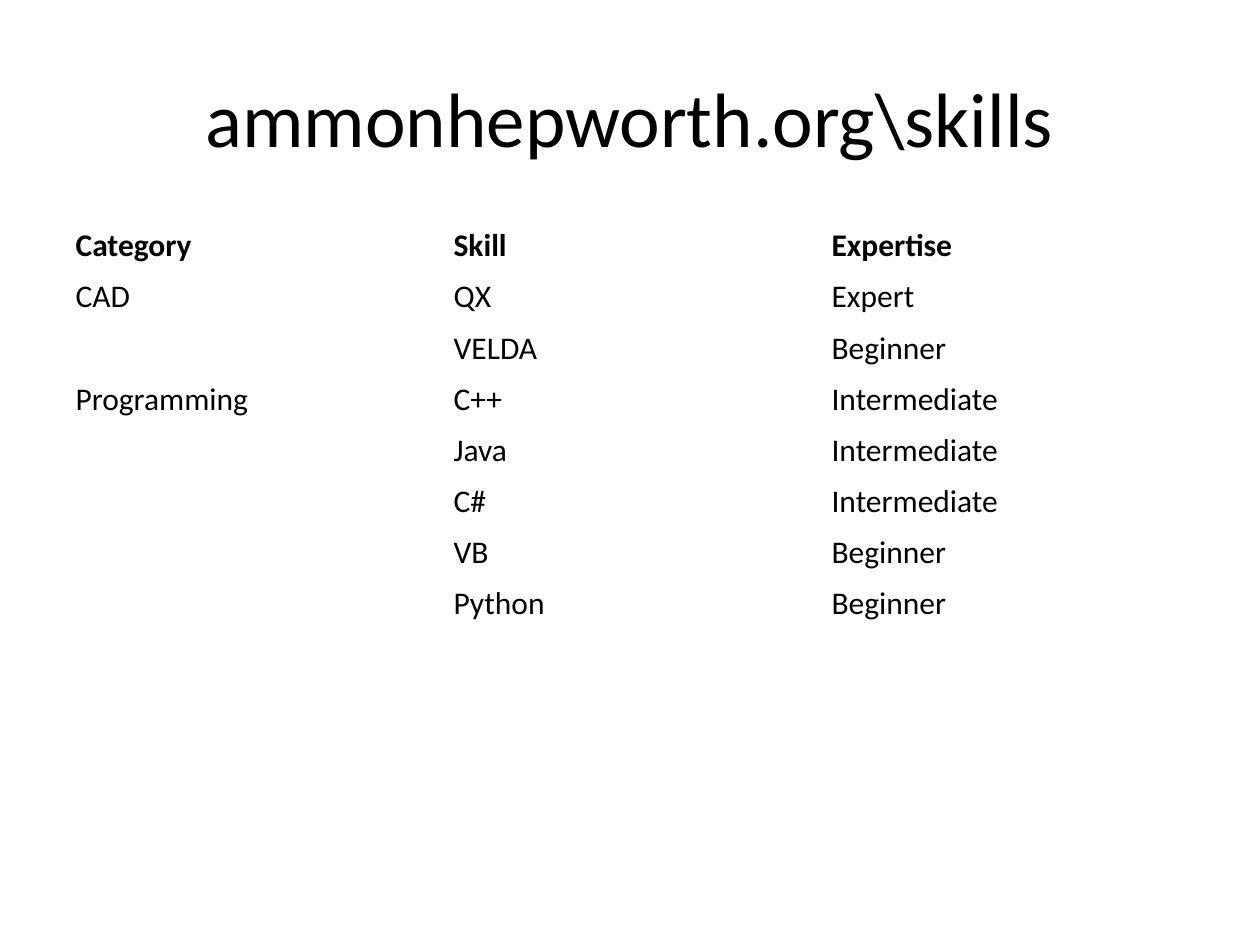
from pptx import Presentation
from pptx.dml.color import RGBColor
from pptx.enum.text import MSO_ANCHOR, PP_ALIGN
from pptx.util import Inches, Pt

CENTER = PP_ALIGN.CENTER
LEFT = PP_ALIGN.LEFT
MIDDLE = MSO_ANCHOR.MIDDLE
COLORS = {"text": "000000", "background": "FFFFFF"}
FONT = "Calibri"
TITLE = "ammonhepworth.org\\skills"
SKILLS = [
    ("Category", "Skill", "Expertise"),
    ("CAD", "QX", "Expert"),
    ("", "VELDA", "Beginner"),
    ("Programming", "C++", "Intermediate"),
    ("", "Java", "Intermediate"),
    ("", "C#", "Intermediate"),
    ("", "VB", "Beginner"),
    ("", "Python", "Beginner"),
    ("", "", ""),
    ("", "", ""),
]


def write_text(paragraph, text, size, bold=False, alignment=LEFT):
    """Write formatted text into a paragraph."""
    paragraph.text = text
    paragraph.alignment = alignment
    formats = {"name": FONT, "size": Pt(size), "bold": bold}
    for name, value in formats.items():
        setattr(paragraph.font, name, value)
    paragraph.font.color.rgb = RGBColor.from_string(COLORS["text"])


def add_title(slide, left, top, width, height):
    """Place the centred title in the given box."""
    shape = slide.shapes.add_textbox(left, top, width, height)
    frame = shape.text_frame
    for name, value in {"word_wrap": True, "vertical_anchor": MIDDLE}.items():
        setattr(frame, name, value)
    write_text(frame.paragraphs[0], TITLE, 44, alignment=CENTER)


def add_skills_table(slide, left, top, width, height):
    """Place the skills table with equal rows and columns in the given box."""
    shape = slide.shapes.add_table(
        len(SKILLS), len(SKILLS[0]), left, top, width, height
    )
    table = shape.table
    table.horz_banding = False
    for row_index, values in enumerate(SKILLS):
        for column_index, text in enumerate(values):
            cell = table.cell(row_index, column_index)
            cell.fill.background()
            write_text(
                cell.text_frame.paragraphs[0], text, 18, bold=row_index == 0
            )


def build_presentation():
    """Build and save the skills slide."""
    presentation = Presentation()
    presentation.slide_width = Inches(10)
    presentation.slide_height = Inches(7.5)
    slide = presentation.slides.add_slide(presentation.slide_layouts[6])
    background = slide.background.fill
    background.solid()
    background.fore_color.rgb = RGBColor.from_string(COLORS["background"])
    add_title(slide, Inches(0.5), Inches(0.3), Inches(9), Inches(1.25))
    add_skills_table(slide, Inches(0.5), Inches(1.75), Inches(9), Inches(4.06))
    presentation.save("out.pptx")


build_presentation()
